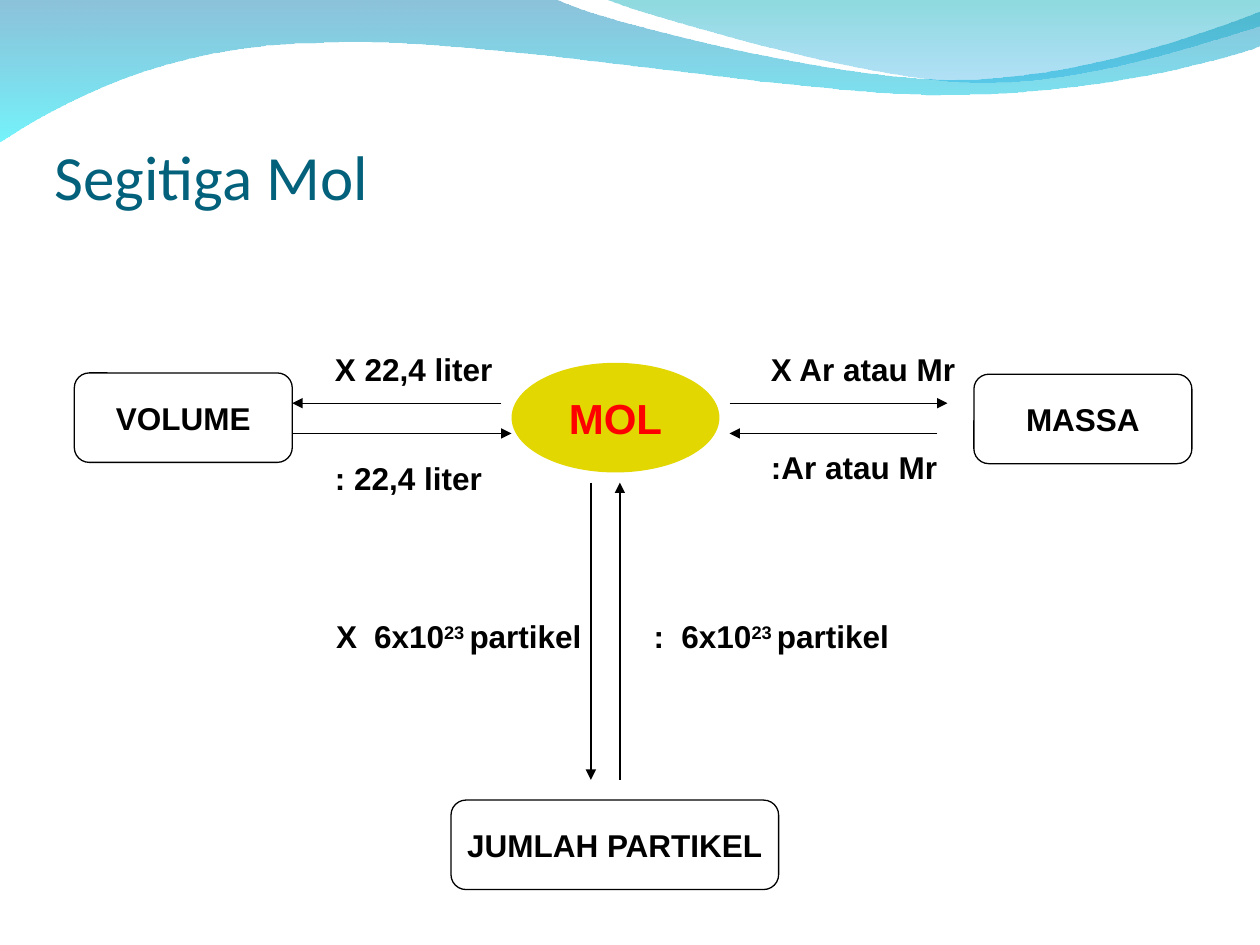
from lxml.etree import SubElement
from pptx import Presentation
from pptx.dml.color import RGBColor
from pptx.enum.shapes import MSO_CONNECTOR, MSO_SHAPE
from pptx.enum.text import MSO_ANCHOR, MSO_AUTO_SIZE, PP_ALIGN
from pptx.oxml import parse_xml
from pptx.oxml.ns import nsdecls, qn
from pptx.util import Inches, Pt

THEME = {
    "title": {"name": "Calibri", "size": Pt(36), "bold": False, "color": "04617B"},
    "label": {"name": "Arial", "size": Pt(18), "bold": True, "color": "000000"},
    "mol": {"name": "Arial", "size": Pt(24), "bold": True, "color": "FF0000"},
    "ellipse": "E2D700",
    "box": "FFFFFF",
    "line": "000000",
    "line_width": Pt(0.75),
    # (colour, opacity in percent) from top to bottom
    "back_wave": [("0079AF", 45), ("00EBF8", 55)],
    "front_wave": [("00ADB6", 45), ("009BE5", 30)],
}


def add_run(p, text, style):
    r = p.add_run()
    r.text = text
    for key, value in THEME[style].items():
        if key == "color":
            r.font.color.rgb = RGBColor.from_string(value)
        else:
            setattr(r.font, key, value)
    return r


def bend_lines(shape, segments):
    """Merge the three line points of each Bezier segment into one curve."""
    lines = iter(shape._element.spPr.xpath(".//a:lnTo"))
    for seg in segments:
        first = next(lines)
        if len(seg) == 3:
            first.tag = qn("a:cubicBezTo")
            for line in (next(lines), next(lines)):
                first.append(line[0])
                line.getparent().remove(line)


prs = Presentation()
prs.slide_width, prs.slide_height = Inches(10), Inches(7.5)
s = prs.slides.add_slide(prs.slide_layouts[5])

# Waves along the top edge: one point is a line end, three points are a curve
waves = [
    ("back_wave", (0, -0.01), [
        [(4.4, -0.01)],
        [(4.76, 0.17), (6.64, 0.63), (7.58, 0.63)],
        [(8.53, 0.63), (9.58, 0.26), (10, 0.09)],
        [(10.01, 0.36)],
        [(9.83, 0.44), (8.7, 0.76), (7.46, 0.75)],
        [(6.22, 0.75), (3.82, 0.28), (2.57, 0.34)],
        [(1.29, 0.35), (0.46, 0.83), (-0.01, 1.13)],
        [(0, -0.01)]]),
    ("front_wave", (4.79, -0.01), [
        [(5.09, 0.11), (6.82, 0.62), (7.69, 0.65)],
        [(8.56, 0.69), (9.61, 0.32), (10, 0.21)],
        [(10, 0)],
        [(4.79, -0.01)]]),
]
for style, start, segments in waves:
    builder = s.shapes.build_freeform(*map(Inches, start), scale=1.0)
    builder.add_line_segments(
        [(Inches(x), Inches(y)) for seg in segments for x, y in seg], close=True)
    wave = builder.convert_to_shape()
    bend_lines(wave, segments)
    wave.shadow.inherit = False
    wave.line.fill.background()
    wave.fill.gradient()
    wave.fill.gradient_angle = 270
    for stop, (color, opacity) in zip(wave.fill.gradient_stops, THEME[style]):
        stop.color.rgb = RGBColor.from_string(color)
    for clr, (color, opacity) in zip(wave._element.spPr.xpath(".//a:srgbClr"), THEME[style]):
        SubElement(clr, qn("a:alpha"), val=str(opacity * 1000))

# Title
title = s.shapes.title
title.left, title.top, title.width, title.height = map(Inches, (0.43, 0.44, 9, 1.25))
tf = title.text_frame
for key, value in {"margin_left": 0, "margin_right": 0, "margin_top": Inches(0.05),
                   "margin_bottom": 0, "vertical_anchor": MSO_ANCHOR.BOTTOM,
                   "auto_size": MSO_AUTO_SIZE.NONE, "word_wrap": True}.items():
    setattr(tf, key, value)
tf.paragraphs[0].alignment = PP_ALIGN.LEFT
add_run(tf.paragraphs[0], "Segitiga Mol", "title")

# Quantities
nodes = [
    ("MOL", MSO_SHAPE.OVAL, "mol", "ellipse", (4.06, 2.88, 1.65, 0.87)),
    ("VOLUME", MSO_SHAPE.ROUNDED_RECTANGLE, "label", "box", (0.59, 2.96, 1.73, 0.71)),
    ("MASSA", MSO_SHAPE.ROUNDED_RECTANGLE, "label", "box", (7.73, 2.97, 1.73, 0.71)),
    ("JUMLAH PARTIKEL", MSO_SHAPE.ROUNDED_RECTANGLE, "label", "box", (3.58, 6.35, 2.6, 0.71)),
]
for text, kind, style, fill, place in nodes:
    sp = s.shapes.add_shape(kind, *map(Inches, place))
    sp.shadow.inherit = False
    sp.fill.solid()
    sp.fill.fore_color.rgb = RGBColor.from_string(THEME[fill])
    if fill == "ellipse":
        sp.line.fill.background()
    else:
        sp.line.color.rgb = RGBColor.from_string(THEME["line"])
        sp.line.width = THEME["line_width"]
    tf = sp.text_frame
    tf.word_wrap = False
    tf.vertical_anchor = MSO_ANCHOR.MIDDLE
    tf.paragraphs[0].alignment = PP_ALIGN.CENTER
    add_run(tf.paragraphs[0], text, style)

# Conversion arrows, each from start to head
arrows = [
    (5.79, 3.2, 7.52, 3.2), (2.32, 3.44, 4.06, 3.44),
    (3.98, 3.2, 2.32, 3.2), (7.44, 3.44, 5.79, 3.44),
    (4.69, 3.83, 4.69, 6.19), (4.92, 6.19, 4.92, 3.83),
]
for ends in arrows:
    arrow = s.shapes.add_connector(MSO_CONNECTOR.STRAIGHT, *map(Inches, ends))
    arrow.line.color.rgb = RGBColor.from_string(THEME["line"])
    arrow.line.width = THEME["line_width"]
    SubElement(arrow.line._get_or_add_ln(), qn("a:tailEnd"), type="triangle")
    SubElement(arrow._element.spPr, qn("a:effectLst"))

# Conversion factors: runs, place, wrap, tab stop
labels = [
    (["X 22,4 liter"], (2.56, 2.73, 1.65, 0.4), True, None),
    (["X Ar atau Mr"], (6.02, 2.73, 1.94, 0.4), True, None),
    ([": 22,4 liter"], (2.56, 3.59, 1.65, 0.4), True, None),
    ([":Ar atau Mr"], (6.02, 3.51, 1.65, 0.4), True, None),
    (["X\t6x10", "23 ", "partikel"], (2.57, 4.85, 2.15, 0.4), False, 0.3),
    ([":\t6x10", "23 ", "partikel"], (5.09, 4.85, 2.07, 0.4), False, 0.22),
]
for runs, place, wrap, tab in labels:
    tf = s.shapes.add_textbox(*map(Inches, place)).text_frame
    tf.word_wrap = wrap
    tf.auto_size = MSO_AUTO_SIZE.SHAPE_TO_FIT_TEXT
    p = tf.paragraphs[0]
    if tab:
        p._p.get_or_add_pPr().append(parse_xml(
            f'<a:tabLst {nsdecls("a")}><a:tab pos="{Inches(tab)}" algn="l"/></a:tabLst>'))
    for i, text in enumerate(runs):
        r = add_run(p, text, "label")
        if i == 1:
            r.font._element.set("baseline", "30000")

prs.save("out.pptx")
